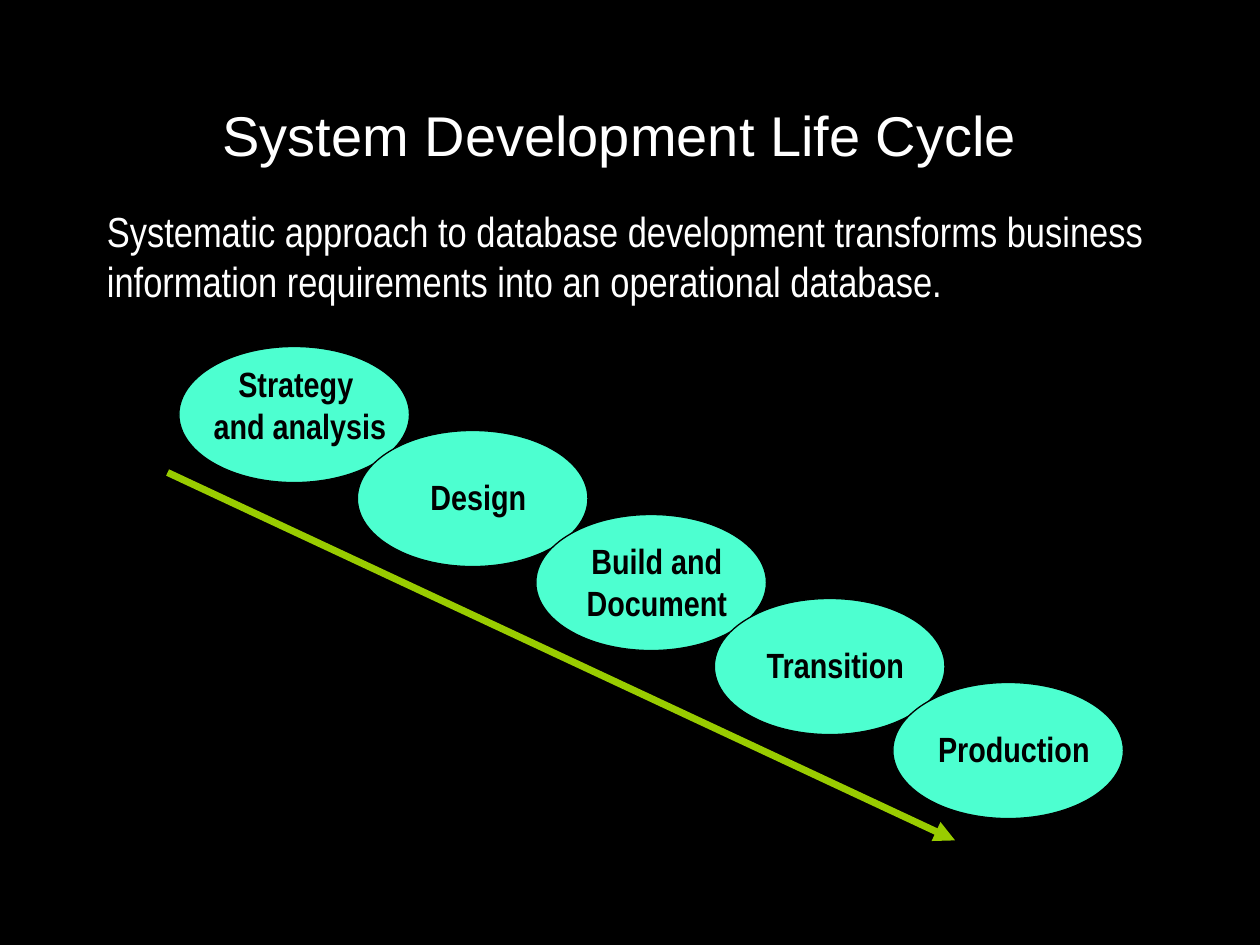
from lxml.etree import SubElement
from pptx import Presentation
from pptx.dml.color import RGBColor
from pptx.enum.shapes import MSO_CONNECTOR, MSO_SHAPE
from pptx.enum.text import MSO_AUTO_SIZE, PP_ALIGN
from pptx.oxml.ns import qn
from pptx.util import Inches, Pt

BLACK, WHITE, AQUA, LIME = "000000", "FFFFFF", "4DFFD0", "99CC00"
STAGES = [
    ("Strategy \nand analysis", 0.08, 0.77),
    ("Design", 0.31, 0.44),
    ("Build and Document", 0.15, 0.77),
    ("Transition", 0.31, 0.44),
    ("Production", 0.31, 0.44),
]


def rgb(color):
    """Turn a hex string into a colour."""
    return RGBColor.from_string(color)


def add_text(shapes, text, left, top, width, height, size, font, color,
             align=PP_ALIGN.LEFT, bold=False):
    """Add a wrapping one-paragraph text box."""
    sp = shapes.add_textbox(Inches(left), Inches(top), Inches(width), Inches(height))
    tf = sp.text_frame
    tf.word_wrap = True
    tf.auto_size = MSO_AUTO_SIZE.SHAPE_TO_FIT_TEXT
    p = tf.paragraphs[0]
    p.text = text
    p.alignment = align
    for r in p.runs:
        r.font.size = Pt(size)
        r.font.name = font
        r.font.bold = bold
        r.font.color.rgb = rgb(color)


def add_stage(shapes, text, left, top, text_offset, text_height):
    """Add a grouped ellipse and its label."""
    group = shapes.add_group_shape()
    sp = group.shapes.add_shape(MSO_SHAPE.OVAL, Inches(left), Inches(top),
                                Inches(1.83), Inches(1.08))
    sp.shadow.inherit = False
    sp.fill.solid()
    sp.fill.fore_color.rgb = rgb(AQUA)
    sp.line.color.rgb = rgb(BLACK)
    sp.line.width = Pt(0.75)
    add_text(group.shapes, text, left + 0.17, top + text_offset, 1.58, text_height,
             20, "Arial Narrow", BLACK, PP_ALIGN.CENTER, True)


def add_arrow(shapes, x1, y1, x2, y2, color, width):
    """Add a straight arrow with a triangular head."""
    line = shapes.add_connector(MSO_CONNECTOR.STRAIGHT, Inches(x1), Inches(y1),
                                Inches(x2), Inches(y2))
    line.line.color.rgb = rgb(color)
    line.line.width = Pt(width)
    SubElement(line.line._get_or_add_ln(), qn("a:tailEnd"), type="triangle")
    SubElement(line._element.spPr, qn("a:effectLst"))


def main():
    """Build and save the slide."""
    prs = Presentation()
    prs.slide_width, prs.slide_height = Inches(10), Inches(7.5)
    s = prs.slides.add_slide(prs.slide_layouts[6])
    s.background.fill.solid()
    s.background.fill.fore_color.rgb = rgb(BLACK)

    add_text(s.shapes, "System Development Life Cycle", 0.42, 0.75, 9, 0.64,
             32, "Arial", WHITE, PP_ALIGN.CENTER)
    for i, (text, offset, height) in enumerate(STAGES):
        add_stage(s.shapes, text, 1.42 + i * 17 / 12, 2.75 + i * 2 / 3, offset, height)
    add_arrow(s.shapes, 1.33, 3.75, 7.58, 6.67, LIME, 4)
    add_text(s.shapes, "Systematic approach to database development transforms business "
             "information requirements into an operational database.",
             0.75, 1.58, 8.58, 0.9, 24, "Arial Narrow", WHITE)
    prs.save("out.pptx")


if __name__ == "__main__":
    main()
